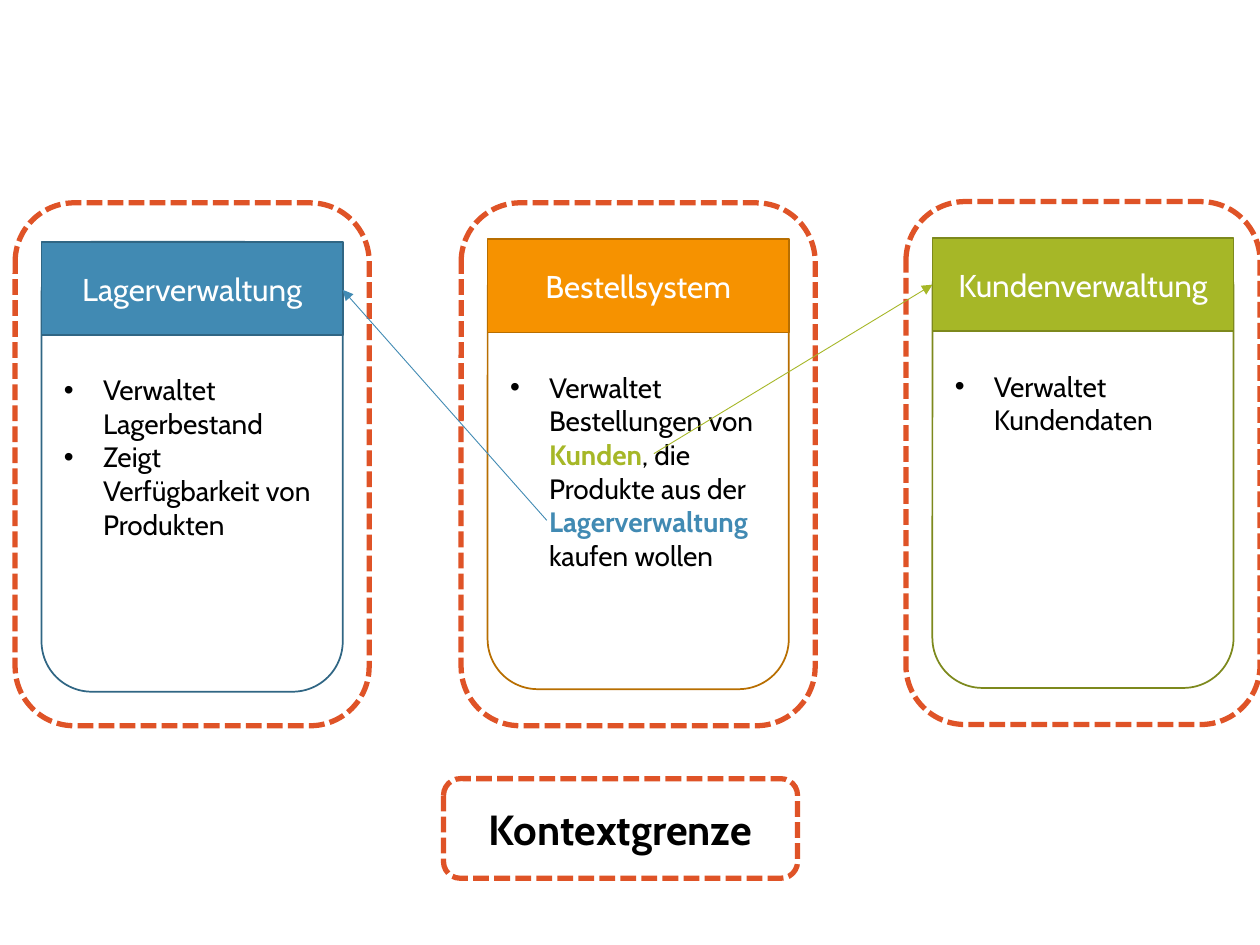
"""Build a slide showing three bounded contexts and the references between them."""
from lxml import etree
from pptx import Presentation
from pptx.dml.color import RGBColor
from pptx.enum import dml, shapes, text
from pptx.oxml import ns
from pptx.util import Inches, Pt

COLORS = {
    "blue": "418AB3", "blue_edge": "306684",
    "orange": "F69200", "orange_edge": "B86E00",
    "green": "A6B727", "green_edge": "7D891D",
    "boundary": "DF5327", "black": "000000", "white": "FFFFFF",
}
FONT = "Cabin"
CONTEXTS = [
    {"title": "Lagerverwaltung", "color": "blue", "left": 0.33, "top": 1.92, "boundary_top": 1.61,
     "points": [[("Verwaltet Lagerbestand", None)],
                [("Zeigt Verfügbarkeit von Produkten", None)]]},
    {"title": "Bestellsystem", "color": "orange", "left": 3.87, "top": 1.9, "boundary_top": 1.61,
     "points": [[("Verwaltet Bestellungen von ", None), ("Kunden", "green"),
                 (", die Produkte aus der ", None), ("Lagerverwaltung", "blue"),
                 (" kaufen wollen", None)]]},
    {"title": "Kundenverwaltung", "color": "green", "left": 7.4, "top": 1.89, "boundary_top": 1.6,
     "points": [[("Verwaltet Kundendaten", None)]]},
]
LEGEND = ("Kontextgrenze", (3.52, 6.18, 2.81, 0.79))
REFERENCES = [("green", (5.19, 3.6), (7.4, 2.26)), ("blue", (4.34, 4.13), (2.72, 2.3))]
CARD_WIDTH, CARD_HEIGHT, HEADER_HEIGHT = 2.39, 3.57, 0.74
BOUNDARY_WIDTH, BOUNDARY_HEIGHT = 2.81, 4.15
BOUNDARY_MARGIN = (BOUNDARY_WIDTH - CARD_WIDTH) / 2
TEXT_INSET, TEXT_DROP, TEXT_HEIGHT = 0.08, 0.99, 1.75
INDENT = 0.31


def rgb(name):
    return RGBColor.from_string(COLORS[name])


def style(span, size, color, bold=False):
    span.font.name, span.font.size, span.font.bold = FONT, Pt(size), bold
    span.font.color.rgb = rgb(color)


def add_box(page, kind, place, edge, width=1, fill=None):
    box = page.shapes.add_shape(kind, *map(Inches, place))
    box.shadow.inherit = False
    box.line.color.rgb = rgb(edge)
    box.line.width = Pt(width)
    if fill:
        box.fill.solid()
        box.fill.fore_color.rgb = rgb(fill)
    else:
        box.fill.background()
    return box


def add_label(box, label, size, color, bold=False):
    frame = box.text_frame
    frame.text = label
    frame.vertical_anchor = text.MSO_ANCHOR.MIDDLE
    para = frame.paragraphs[0]
    para.alignment = text.PP_ALIGN.CENTER
    style(para.runs[0], size, color, bold)


def add_boundary(page, place):
    box = add_box(page, shapes.MSO_SHAPE.ROUNDED_RECTANGLE, place, "boundary", 3)
    box.line.dash_style = dml.MSO_LINE.SQUARE_DOT
    return box


def add_points(page, place, points):
    frame = page.shapes.add_textbox(*map(Inches, place)).text_frame
    frame.word_wrap = True
    for index, point in enumerate(points):
        para = frame.add_paragraph() if index else frame.paragraphs[0]
        props = para._p.get_or_add_pPr()
        props.set("marL", str(Inches(INDENT)))
        props.set("indent", str(-Inches(INDENT)))
        etree.SubElement(props, ns.qn("a:buFont")).set("typeface", "Arial")
        etree.SubElement(props, ns.qn("a:buChar")).set("char", "•")
        for words, accent in point:
            span = para.add_run()
            span.text = words
            style(span, 16, accent or "black", bool(accent))


def add_context(page, context):
    left, top, color = context["left"], context["top"], context["color"]
    edge = color + "_edge"
    add_boundary(page, (left - BOUNDARY_MARGIN, context["boundary_top"],
                        BOUNDARY_WIDTH, BOUNDARY_HEIGHT))
    add_box(page, shapes.MSO_SHAPE.ROUNDED_RECTANGLE, (left, top, CARD_WIDTH, CARD_HEIGHT), edge)
    header = add_box(page, shapes.MSO_SHAPE.RECTANGLE,
                     (left, top, CARD_WIDTH, HEADER_HEIGHT), edge, fill=color)
    add_label(header, context["title"], 18, "white")
    add_points(page, (left + TEXT_INSET, top + TEXT_DROP, CARD_WIDTH - 2 * TEXT_INSET, TEXT_HEIGHT),
               context["points"])


def add_reference(page, color, start, end):
    arrow = page.shapes.add_connector(shapes.MSO_CONNECTOR.STRAIGHT, *map(Inches, start + end))
    arrow.line.color.rgb = rgb(color)
    arrow.line.width = Pt(0.5)
    etree.SubElement(arrow.line._get_or_add_ln(), ns.qn("a:tailEnd")).set("type", "triangle")
    etree.SubElement(arrow._element.spPr, ns.qn("a:effectLst"))


def main():
    deck = Presentation()
    deck.slide_width, deck.slide_height = Inches(10), Inches(7.5)
    page = deck.slides.add_slide(deck.slide_layouts[6])
    for context in CONTEXTS:
        add_context(page, context)
    label, place = LEGEND
    add_label(add_boundary(page, place), label, 24, "black", True)
    for reference in REFERENCES:
        add_reference(page, *reference)
    deck.save("out.pptx")


if __name__ == "__main__":
    main()
